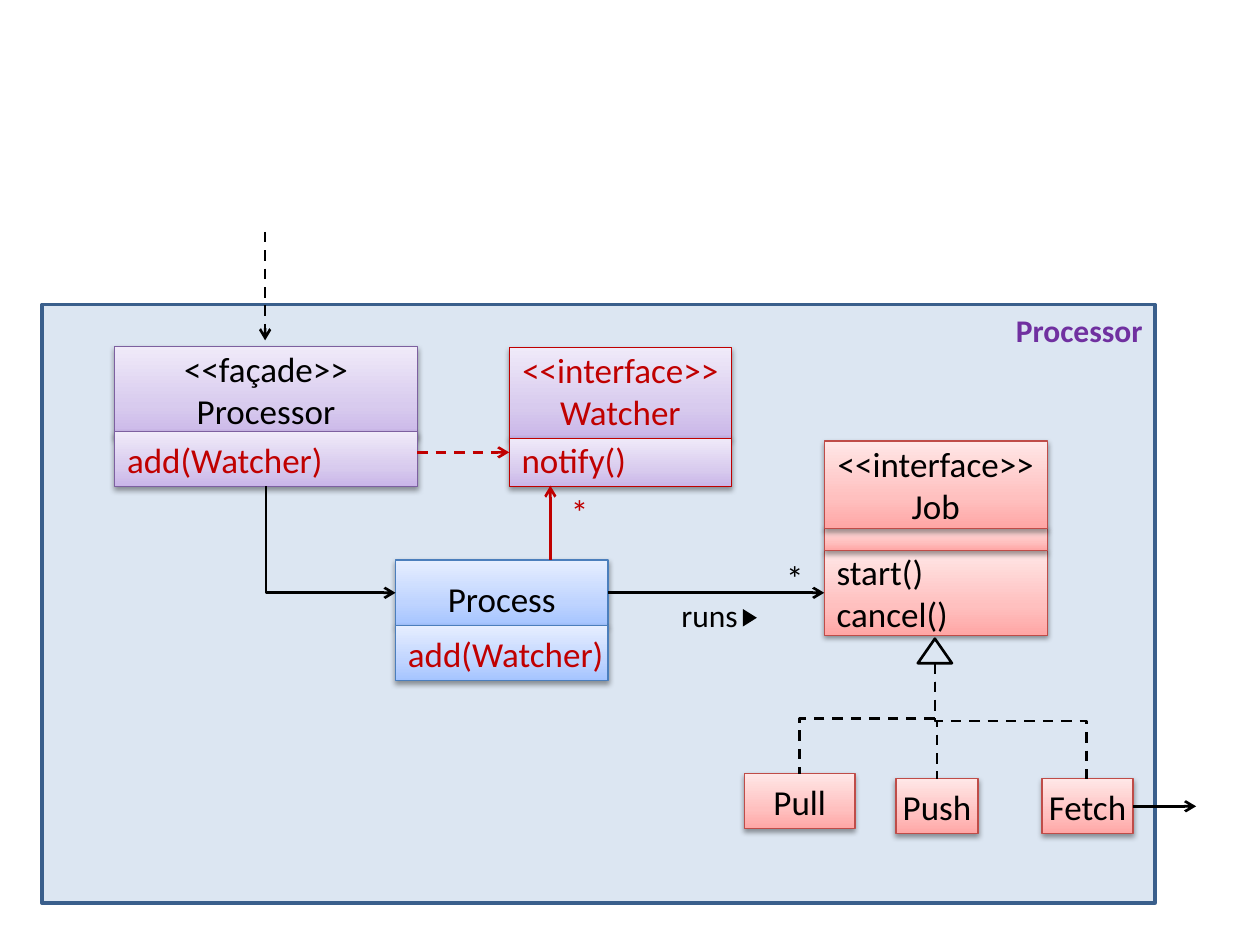
"""Build a UML class diagram of the Processor component."""
import copy

import pptx
import pptx.dml.color
import pptx.enum.dml
import pptx.enum.shapes
import pptx.enum.text
import pptx.oxml
import pptx.oxml.ns
import pptx.util

THEME = {
    "font": "Calibri", "size": 20, "label": 18, "black": "000000", "red": "C00000", "title": "7030A0",
    "panel": "DCE6F2", "panel_line": "3A5F8C", "thin": 0.75, "stroke": 1.5, "thick": 2,
    "rose": ("FFA6A5", "FFC0BF", "FFE7E7"), "rose_line": "BF4C48",
    "blue": ("A4C4FF", "BFD4FF", "E6EEFF"), "blue_line": "4B7EBC",
    "violet": ("C9B5E8", "D8CBEE", "F0EAF9"), "violet_line": "7D60A0",
}
STOPS = (0, 0.35, 1)
PANEL = (24, 174, 636, 342)

BOXES = [
    ("job_methods", "start()\ncancel()", (471, 314.5, 127.5, 48.5), "rose", "rose_line", "black", "LEFT", "MIDDLE"),
    ("job_fields", "", (471, 301, 127.5, 13.5), "rose", "rose_line", "black", "LEFT", "MIDDLE"),
    ("job", "<<interface>>\nJob", (471, 252, 127.5, 50), "rose", "rose_line", "black", "CENTER", "MIDDLE"),
    ("pull", "Pull", (425.5, 442, 63, 31.5), "rose", "rose_line", "black", "CENTER", "MIDDLE"),
    ("push", "Push", (512, 445, 47, 31.5), "rose", "rose_line", "black", "CENTER", "MIDDLE"),
    ("fetch", "Fetch", (595.5, 445, 52, 31.5), "rose", "rose_line", "black", "CENTER", "MIDDLE"),
    ("process", "Process", (226, 320, 121.5, 37.5), "blue", "blue_line", "black", "CENTER", "BOTTOM"),
    ("process_add", "add(Watcher)", (226, 357.5, 121.5, 31.5), "blue", "blue_line", "red", "LEFT", "BOTTOM"),
    ("facade", "<<façade>>\nProcessor", (65.5, 198, 173, 52), "violet", "violet_line", "black", "CENTER", "BOTTOM"),
    ("facade_add", "add(Watcher)", (65.5, 246.5, 173, 31.5), "violet", "violet_line", "red", "LEFT", "BOTTOM"),
    ("watcher", "<<interface>>\nWatcher", (291, 198.5, 127, 52), "violet", "red", "red", "CENTER", "BOTTOM"),
    ("notify", "notify()", (291, 250.5, 127, 27.5), "violet", "red", "red", "LEFT", "BOTTOM"),
]
LABELS = [
    ("*", (442, 314.5, 24.5, 31), "size", "black", True),
    ("*", (319, 277, 24.5, 31), "size", "red", True),
    ("runs", (382, 337, 47, 29), "label", "black", False),
]
STRAIGHT = [
    ((151.5, 132.5), (151.5, 194.5), "black", True, True, None, None),
    ((347.5, 338.75), (471, 338.75), "black", False, True, ("process", 3), ("job_methods", 1)),
    ((647.5, 460.75), (683.5, 460.75), "black", False, True, ("fetch", 3), None),
    ((238.5, 258.5), (291, 258.5), "red", True, True, None, None),
    ((314.5, 320), (314.5, 277.5), "red", False, True, None, None),
]
FORK = (534.25, 379)
ELBOWS = [(FORK, (x, y), "black", True, False, "bentConnector3") for x, y in ((457, 442), (535.5, 445), (621, 445))]
ELBOWS.append(((152, 278), (226, 338.75), "black", False, True, "bentConnector2"))


def pts(values):
    return [pptx.util.Pt(v) for v in values]


def rgb(name):
    return pptx.dml.color.RGBColor.from_string(THEME.get(name, name))


def element(xml):
    return pptx.oxml.parse_xml(xml.replace(" ", " %s " % pptx.oxml.ns.nsdecls("a"), 1))


def add_shape(s, kind, place, fill, line, width):
    sp = s.shapes.add_shape(getattr(pptx.enum.shapes.MSO_SHAPE, kind), *pts(place))
    sp.shadow.inherit = False
    if fill:
        sp.fill.solid()
        sp.fill.fore_color.rgb = rgb(fill)
    else:
        sp.fill.background()
    if line:
        sp.line.color.rgb = rgb(line)
        sp.line.width = pptx.util.Pt(width)
    else:
        sp.line.fill.background()
    return sp


def write(sp, text, size, color, align="CENTER", anchor="MIDDLE", wrap=False, bold=False):
    tf = sp.text_frame
    tf.word_wrap = wrap
    tf.vertical_anchor = getattr(pptx.enum.text.MSO_ANCHOR, anchor)
    tf.text = text
    font = {"name": THEME["font"], "size": pptx.util.Pt(THEME[size]), "bold": bold}
    for p in tf.paragraphs:
        p.alignment = getattr(pptx.enum.text.PP_ALIGN, align)
        for r in p.runs:
            for key, value in font.items():
                setattr(r.font, key, value)
            r.font.color.rgb = rgb(color)


def shade(sp, colors):
    sp.fill.gradient()
    sp.fill.gradient_angle = 90
    stops = sp._element.spPr.find(pptx.oxml.ns.qn("a:gradFill")).find(pptx.oxml.ns.qn("a:gsLst"))
    stops.append(copy.deepcopy(stops[0]))
    for stop, color, position in zip(sp.fill.gradient_stops, colors, STOPS):
        stop.color.rgb = rgb(color)
        stop.position = position
    sp._element.spPr.find(pptx.oxml.ns.qn("a:effectLst")).append(element(
        '<a:outerShdw blurRad="39370" dist="20320" dir="5400000" rotWithShape="0">'
        '<a:srgbClr val="000000"><a:alpha val="38000"/></a:srgbClr></a:outerShdw>'))


def add_line(s, start, end, color, dashed, arrow):
    kind = pptx.enum.shapes.MSO_CONNECTOR.STRAIGHT
    c = s.shapes.add_connector(kind, *pts(start + end))
    c.line.color.rgb = rgb(color)
    c.line.width = pptx.util.Pt(THEME["stroke"])
    if dashed:
        c.line.dash_style = pptx.enum.dml.MSO_LINE.DASH
    if arrow:
        c.line._get_or_add_ln().append(element('<a:tailEnd type="arrow"/>'))
    c._element.spPr.append(element("<a:effectLst />"))
    return c


def add_elbow(s, start, end, color, dashed, arrow, preset):
    c = add_line(s, start, end, color, dashed, arrow)
    (x1, y1), (x2, y2) = start, end
    w, h = abs(y2 - y1), abs(x2 - x1)
    place = pts(((x1 + x2 - w) / 2, (y1 + y2 - h) / 2, w, h))
    for key, value in zip(("left", "top", "width", "height"), place):
        setattr(c, key, value)
    spPr = c._element.spPr
    spPr.find(pptx.oxml.ns.qn("a:prstGeom")).set("prst", preset)
    xfrm = spPr.find(pptx.oxml.ns.qn("a:xfrm"))
    xfrm.set("rot", str((90 if x2 < x1 else 270) * 60000))
    xfrm.set("flipH", "0" if x2 < x1 else "1")


def main():
    prs = pptx.Presentation()
    prs.slide_width, prs.slide_height = pts((720, 540))
    s = prs.slides.add_slide(prs.slide_layouts[6])
    panel = add_shape(s, "RECTANGLE", PANEL, "panel", "panel_line", THEME["thick"])
    write(panel, "Processor", "label", "title", "RIGHT", "TOP", True, True)

    boxes = {}
    for name, text, place, fill, line, color, align, anchor in BOXES:
        sp = boxes[name] = add_shape(s, "RECTANGLE", place, None, line, THEME["thin"])
        shade(sp, THEME[fill])
        if text:
            write(sp, text, "size", color, align, anchor)

    add_shape(s, "ISOSCELES_TRIANGLE", (524.5, 365, 19.5, 14), None, "black", THEME["stroke"])
    pointer = add_shape(s, "ISOSCELES_TRIANGLE", (423.5, 349, 10, 8), "black", None, 0)
    pointer.rotation = 90
    for text, place, size, color, wrap in LABELS:
        write(s.shapes.add_textbox(*pts(place)), text, size, color, wrap=wrap)

    for *line, begin, finish in STRAIGHT:
        c = add_line(s, *line)
        if begin:
            c.begin_connect(boxes[begin[0]], begin[1])
        if finish:
            c.end_connect(boxes[finish[0]], finish[1])
    for elbow in ELBOWS:
        add_elbow(s, *elbow)
    prs.save("out.pptx")


if __name__ == "__main__":
    main()
